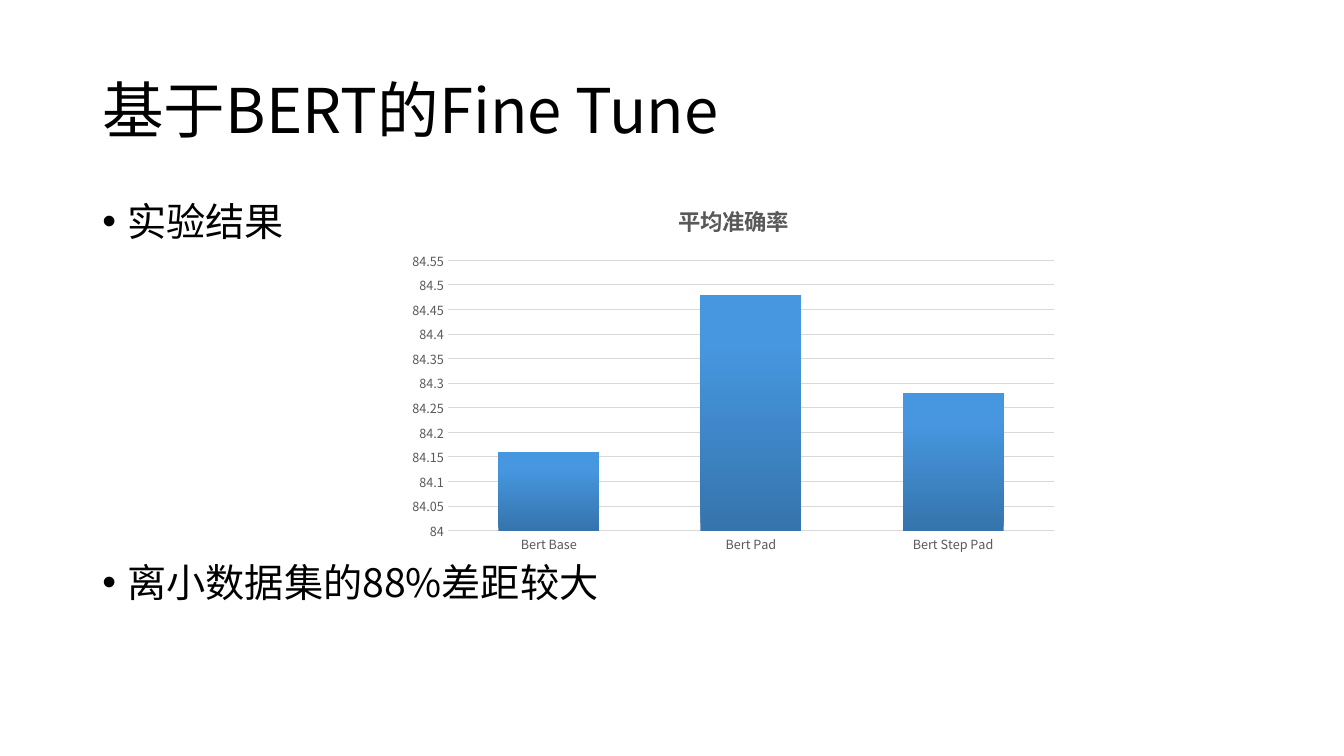
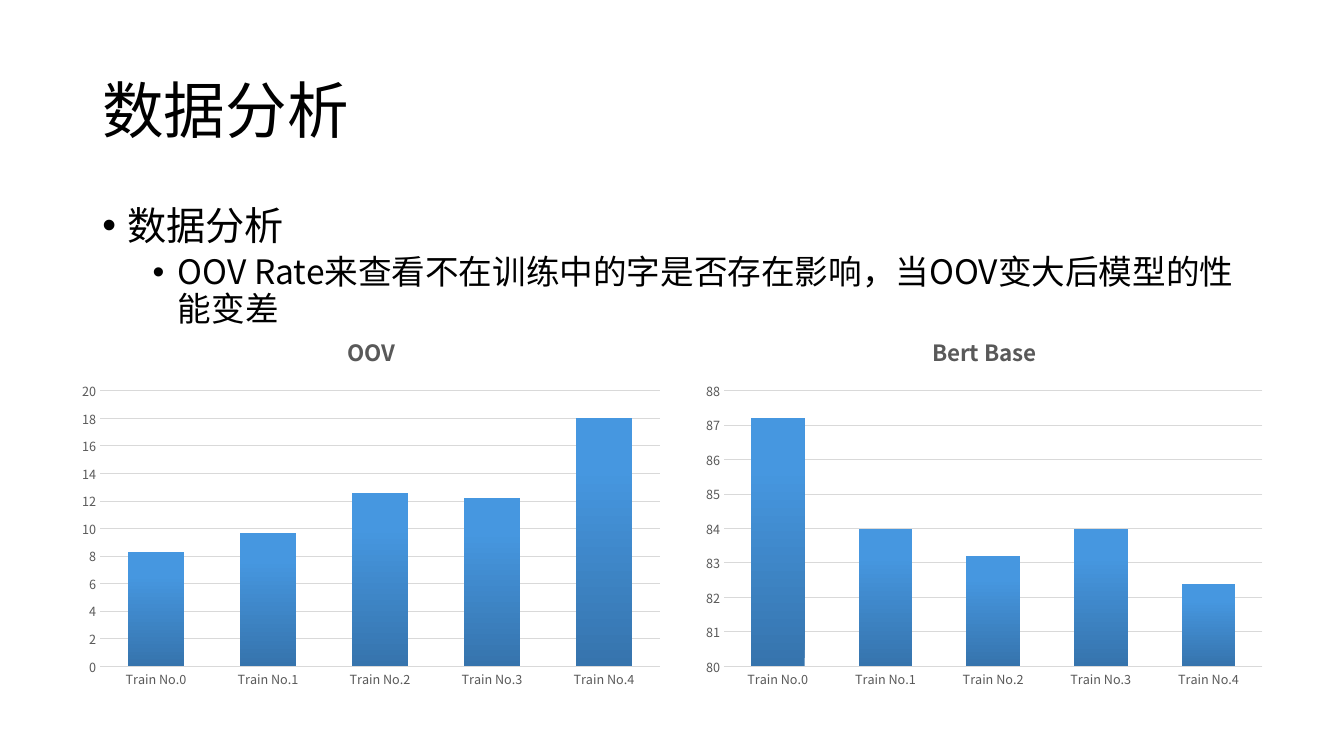
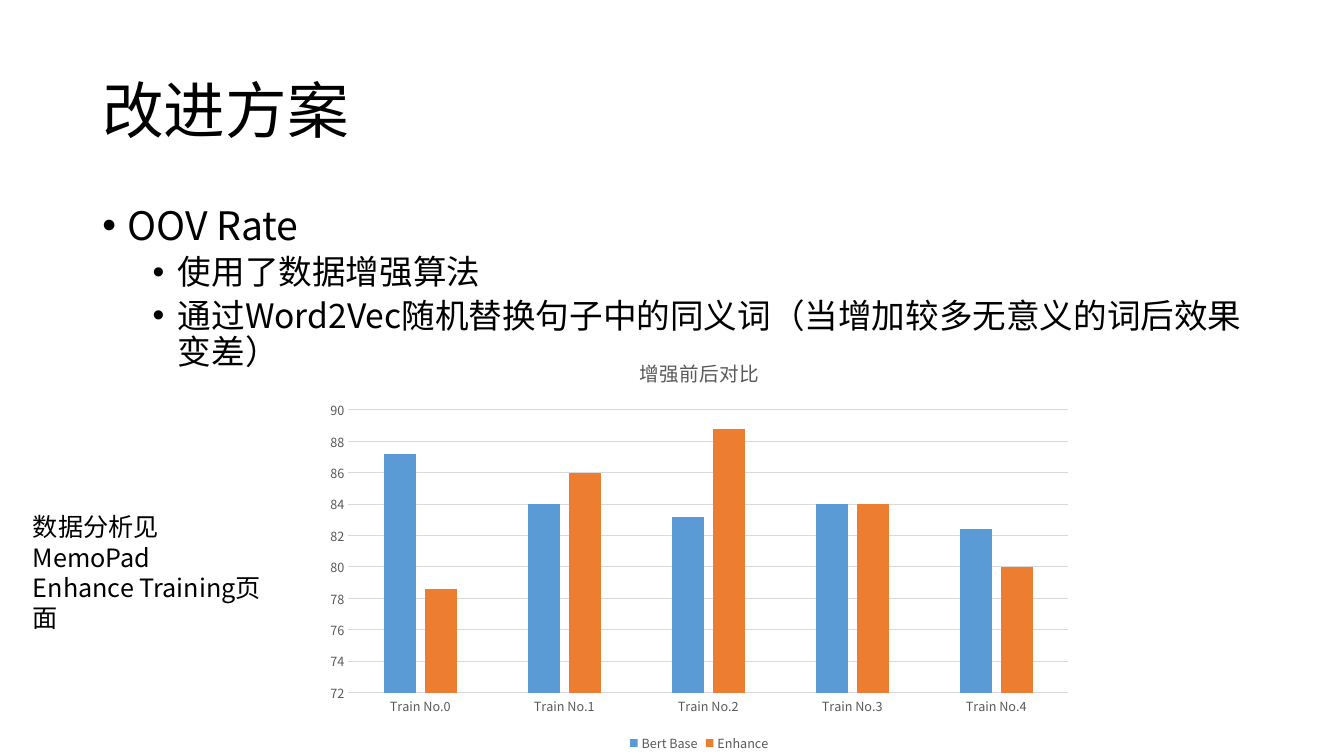
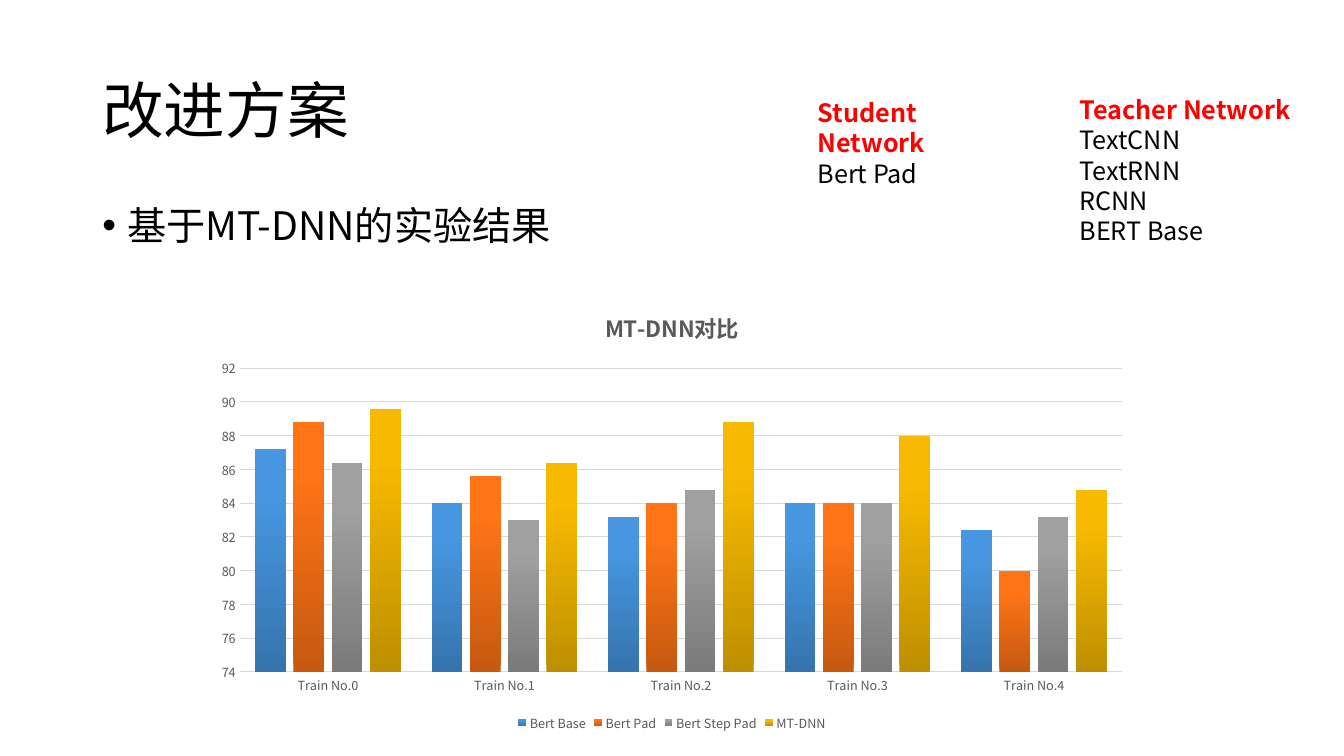
from lxml import etree
from pptx import Presentation
from pptx.chart.data import CategoryChartData
from pptx.dml.color import RGBColor
from pptx.enum import chart as ch, text
from pptx.oxml import ns
from pptx.util import Pt

# Shared style
FONT = "Noto Sans CJK SC"
BLACK = RGBColor(0x00, 0x00, 0x00)
RED = RGBColor(0xFF, 0x00, 0x00)
GRAY_TEXT = RGBColor(0x59, 0x59, 0x59)
GRID = RGBColor(0xD9, 0xD9, 0xD9)
BLUE = RGBColor(0x5B, 0x9B, 0xD5)
ORANGE = RGBColor(0xED, 0x7D, 0x31)
# Gradients run from the foot of a column to its top
BLUE_FADE = (RGBColor(0x36, 0x74, 0xAD), RGBColor(0x46, 0x97, 0xE0))
ORANGE_FADE = (RGBColor(0xC6, 0x59, 0x10), RGBColor(0xFF, 0x74, 0x16))
GRAY_FADE = (RGBColor(0x7B, 0x7B, 0x7B), RGBColor(0xA0, 0xA0, 0xA0))
GOLD_FADE = (RGBColor(0xBE, 0x8F, 0x00), RGBColor(0xF7, 0xBA, 0x00))

TITLE_BOX = (66, 28.8, 828, 104.4)
BODY_BOX = (66, 144, 828, 342.7)
# Bullet level: text size, left margin, space before
LEVELS = [(28, 18, 10), (24, 54, 5)]
HANGING = 18

# Content
MODELS = ["Bert Base", "Bert Pad", "Bert Step Pad"]
TRAINS = [f"Train No.{number}" for number in range(5)]
BASE_SCORES = (87.2, 84, 83.2, 84, 82.4)

# bullets: (level, text); notes: (box, [(text, is heading)])
# charts: box, title, categories, axis (min, max, step), series (name, values, fill)
SLIDES = [
    {
        "title": "基于BERT的Fine Tune",
        "bullets": [(0, "实验结果"), (0, "离小数据集的88%差距较大")],
        "line_spacing": 0.8,
        "chart_gap": 231,
        "charts": [
            {"box": (285, 133, 477.5, 267), "title": "平均准确率",
             "categories": MODELS, "axis": (84, 84.55, 0.05),
             "series": [("平均准确率", (84.16, 84.48, 84.28), BLUE_FADE)]},
        ],
    },
    {
        "title": "数据分析",
        "bullets": [
            (0, "数据分析"),
            (1, "OOV Rate来查看不在训练中的字是否存在影响，当OOV变大后模型的性能变差"),
        ],
        "charts": [
            {"box": (50, 226, 430, 271), "title": "OOV",
             "categories": TRAINS, "axis": (0, 20, 2),
             "series": [("OOV", (8.3, 9.7, 12.6, 12.2, 18), BLUE_FADE)]},
            {"box": (496, 226, 414, 271), "title": "Bert Base",
             "categories": TRAINS, "axis": (80, 88, 1),
             "series": [("Bert Base", BASE_SCORES, BLUE_FADE)]},
        ],
    },
    {
        "title": "改进方案",
        "bullets": [
            (0, "OOV Rate"),
            (1, "使用了数据增强算法"),
            (1, "通过Word2Vec随机替换句子中的同义词（当增加较多无意义的词后效果变差）"),
        ],
        "charts": [
            {"box": (225, 242, 549, 298), "title": "增强前后对比",
             "title_font": (14, False), "spacing": (219, -27),
             "categories": TRAINS, "axis": (72, 90, 2),
             "series": [("Bert Base", BASE_SCORES, BLUE),
                        ("Enhance", (78.6, 86, 88.8, 84, 80), ORANGE)]},
        ],
        "notes": [
            ((16.5, 362, 185, 51),
             [("数据分析见MemoPad", False), ("Enhance Training页面", False)]),
        ],
    },
    {
        "title": "改进方案",
        "bullets": [(0, "基于MT-DNN的实验结果")],
        "charts": [
            {"box": (145, 208, 670, 317.5), "title": "MT-DNN对比",
             "categories": TRAINS, "axis": (74, 92, 2),
             "series": [("Bert Base", BASE_SCORES, BLUE_FADE),
                        ("Bert Pad", (88.8, 85.6, 84, 84, 80), ORANGE_FADE),
                        ("Bert Step Pad", (86.4, 83, 84.8, 84, 83.2), GRAY_FADE),
                        ("MT-DNN", (89.6, 86.4, 88.8, 88, 84.8), GOLD_FADE)]},
        ],
        "notes": [
            ((764, 64, 190, 117),
             [("Teacher Network", True), ("TextCNN", False), ("TextRNN", False),
              ("RCNN", False), ("BERT Base", False)]),
            ((577, 66, 156, 74), [("Student Network", True), ("Bert Pad", False)]),
        ],
    },
]


def points(box):
    return [Pt(length) for length in box]


def add_run(paragraph, content, size, color=BLACK, bold=False):
    run = paragraph.add_run()
    run.text = content
    font = run.font
    font.name, font.size, font.bold = FONT, Pt(size), bold
    font.color.rgb = color
    # East Asian characters need their own typeface entry
    etree.SubElement(run._r.get_or_add_rPr(), ns.qn("a:ea"), typeface=FONT)


def add_text_frame(slide, box, anchor=text.MSO_ANCHOR.TOP):
    frame = slide.shapes.add_textbox(*points(box)).text_frame
    frame.word_wrap = True
    frame.vertical_anchor = anchor
    return frame


def add_paragraphs(frame, count):
    return [frame.paragraphs[0]] + [frame.add_paragraph() for _ in range(count - 1)]


def add_title(slide, content):
    paragraph = add_text_frame(slide, TITLE_BOX, text.MSO_ANCHOR.MIDDLE).paragraphs[0]
    paragraph.line_spacing = 0.9
    add_run(paragraph, content, 44)


def add_bullets(slide, bullets, line_spacing, chart_gap):
    paragraphs = add_paragraphs(add_text_frame(slide, BODY_BOX), len(bullets))
    for index, (paragraph, (level, content)) in enumerate(zip(paragraphs, bullets)):
        size, margin, space = LEVELS[level]
        paragraph.level = level
        paragraph.line_spacing = line_spacing
        paragraph.space_before = Pt(chart_gap if chart_gap and index else space)
        properties = paragraph._p.get_or_add_pPr()
        properties.set("marL", str(Pt(margin)))
        properties.set("indent", str(-Pt(HANGING)))
        etree.SubElement(properties, ns.qn("a:buFont"), typeface="Arial")
        etree.SubElement(properties, ns.qn("a:buChar"), char="•")
        add_run(paragraph, content, size)


def add_note(slide, box, lines):
    paragraphs = add_paragraphs(add_text_frame(slide, box), len(lines))
    for paragraph, (content, heading) in zip(paragraphs, lines):
        add_run(paragraph, content, 18, RED if heading else BLACK, heading)


def fill_series(fill, colors):
    if isinstance(colors, RGBColor):
        fill.solid()
        fill.fore_color.rgb = colors
        return
    fill.gradient()
    fill.gradient_angle = 90
    for stop, color, position in zip(fill.gradient_stops, colors, (0, 0.8)):
        stop.color.rgb = color
        stop.position = position


def add_column_chart(slide, box, title, categories, axis, series,
                     title_font=(16, True), spacing=(100, -24)):
    data = CategoryChartData()
    data.categories = categories
    for name, values, _ in series:
        data.add_series(name, values)
    chart = slide.shapes.add_chart(
        ch.XL_CHART_TYPE.COLUMN_CLUSTERED, *points(box), data).chart
    chart.font.name, chart.font.size = FONT, Pt(9)
    chart.font.color.rgb = GRAY_TEXT

    # Title and legend
    chart.has_title = True
    size, bold = title_font
    add_run(chart.chart_title.text_frame.paragraphs[0], title, size, GRAY_TEXT, bold)
    chart.chart_title.include_in_layout = False
    chart.has_legend = len(series) > 1
    if chart.has_legend:
        chart.legend.position = ch.XL_LEGEND_POSITION.BOTTOM
        chart.legend.include_in_layout = False

    # Columns
    plot = chart.plots[0]
    plot.vary_by_categories = False
    plot.gap_width, plot.overlap = spacing
    for columns, (_, _, colors) in zip(plot.series, series):
        fill_series(columns.format.fill, colors)

    # Axes
    value_axis, category_axis = chart.value_axis, chart.category_axis
    value_axis.minimum_scale, value_axis.maximum_scale, value_axis.major_unit = axis
    value_axis.tick_labels.number_format = "General"
    value_axis.tick_labels.number_format_is_linked = False
    value_axis.format.line.fill.background()
    for axis_part in (value_axis, category_axis):
        axis_part.major_tick_mark = axis_part.minor_tick_mark = ch.XL_TICK_MARK.NONE
    for line, width in ((value_axis.major_gridlines.format.line, 0.75),
                        (category_axis.format.line, 1)):
        line.color.rgb = GRID
        line.width = Pt(width)


def main():
    presentation = Presentation()
    presentation.slide_width, presentation.slide_height = Pt(960), Pt(540)
    blank = presentation.slide_layouts[6]
    for content in SLIDES:
        slide = presentation.slides.add_slide(blank)
        add_title(slide, content["title"])
        add_bullets(slide, content["bullets"],
                    content.get("line_spacing", 0.9), content.get("chart_gap"))
        for chart in content["charts"]:
            add_column_chart(slide, **chart)
        for box, lines in content.get("notes", []):
            add_note(slide, box, lines)
    presentation.save("out.pptx")


if __name__ == "__main__":
    main()
